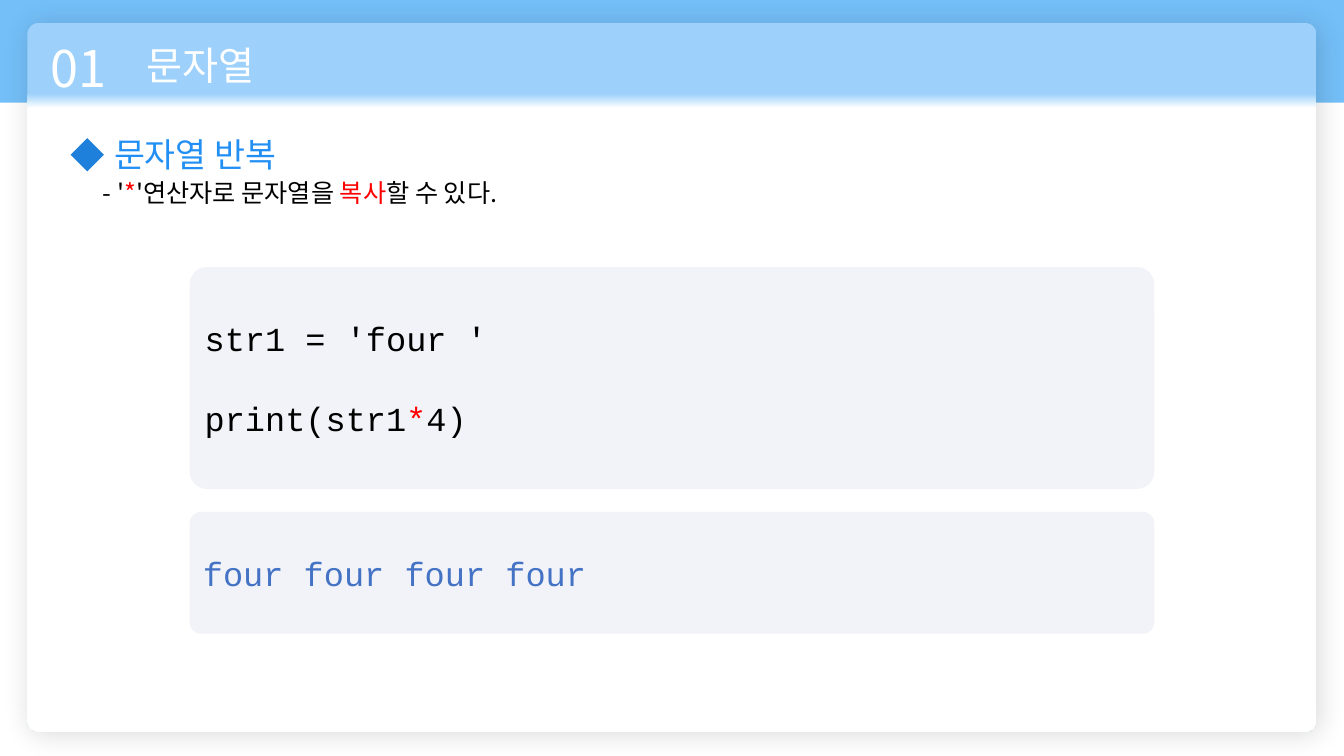
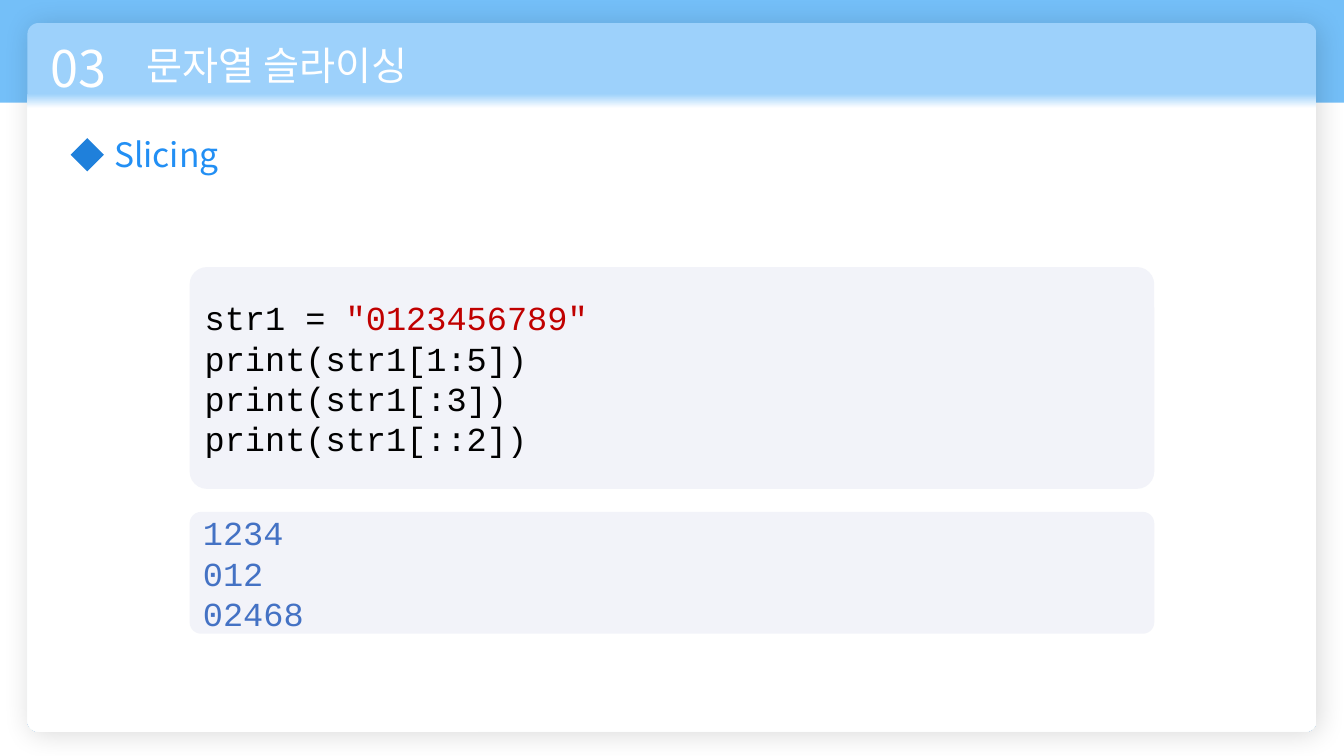
from lxml.etree import SubElement
from pptx import Presentation
from pptx.dml.color import RGBColor
from pptx.enum.shapes import MSO_SHAPE
from pptx.enum.text import MSO_ANCHOR, MSO_AUTO_SIZE, PP_ALIGN
from pptx.oxml.ns import qn
from pptx.util import Cm, Pt

KOREAN, MONO = "Noto Sans CJK KR", "Courier New"
WHITE, BLACK, RED, DARK_RED = "FFFFFF", "000000", "FF0000", "C00000"
BAND, HEADER, PANEL = "74BFF8", "9DD1FB", "F2F3F9"
HEADING, DIAMOND, RESULT = "228FF4", "1F80DB", "4472C4"

# Boxes are left, top, width, height in centimetres.
PAGE = (0, 0, 33.87, 19.05)
CARD = (0.69, 0.58, 32.49, 17.86)
NUMBER = (1.02, 0.81, 2.59, 1.8)
TITLE = (3.45, 0.91, 12.45, 1.45)
BODY = (2.34, 3.25, 20.5, 2.31)
LISTING = (4.78, 6.73, 24.31, 9.24)

CODE_HEIGHT, PANEL_GAP = 5.59, 0.58
CODE_PITCH = Pt(28.8)


def rgb(value):
    return RGBColor.from_string(value)


def lengths(box):
    return [Cm(value) for value in box]


def add_filled(page, kind, box, color=None, corner=None):
    shape = page.shapes.add_shape(kind, *lengths(box))
    shape.shadow.inherit = False
    shape.line.fill.background()
    if color:
        shape.fill.solid()
        shape.fill.fore_color.rgb = rgb(color)
    if corner is not None:
        shape.adjustments[0] = corner
    return shape


def add_spans(para, spans, font, size):
    for text, color in spans:
        span = para.add_run()
        span.text = text
        span.font.size = Pt(size)
        span.font.color.rgb = rgb(color)
        span.font.name = font
        SubElement(span.font._element, qn("a:ea"), typeface=font)


def prepare_frame(frame, anchor=MSO_ANCHOR.TOP):
    frame.word_wrap = True
    frame.auto_size = MSO_AUTO_SIZE.NONE
    frame.vertical_anchor = anchor
    return frame


def add_card(page, box):
    """Draw the rounded sheet with its tinted header and soft shadow."""
    card = add_filled(page, MSO_SHAPE.ROUNDED_RECTANGLE, box, corner=0.016)
    card.fill.gradient()
    card.fill.gradient_angle = 270
    for stop, (position, color) in zip(card.fill.gradient_stops,
                                       [(0.1, HEADER), (0.12, WHITE)]):
        stop.position = position
        stop.color.rgb = rgb(color)
    effects = card.element.spPr.find(qn("a:effectLst"))
    shadow = SubElement(effects, qn("a:outerShdw"), blurRad=str(Pt(20)), dist=str(Pt(3)),
                        dir=str(45 * 60000), algn="ctr", rotWithShape="0")
    tint = SubElement(shadow, qn("a:srgbClr"), val=BLACK)
    SubElement(tint, qn("a:alpha"), val="14000")
    return card


def design_layout(layout, page):
    """Place the layout's placeholders and move the shared shapes into it."""
    for placeholder, box in zip(layout.placeholders, (TITLE, BODY)):
        (placeholder.left, placeholder.top,
         placeholder.width, placeholder.height) = lengths(box)
    left, top = BODY[:2]
    shared = [
        add_filled(page, MSO_SHAPE.RECTANGLE, (0, 0, PAGE[2], 2.59), BAND),
        add_card(page, CARD),
        add_filled(page, MSO_SHAPE.DIAMOND, (left - 0.56, top + 0.23, 0.84, 0.84), DIAMOND),
    ]
    for number, shape in enumerate(shared, 101):
        shape.element.nvSpPr.cNvPr.set("id", str(number))
        layout.shapes.element.append(shape.element)


def fill_header(page, number, title):
    box = page.shapes.add_textbox(*lengths(NUMBER))
    add_spans(prepare_frame(box.text_frame).paragraphs[0], [(number, WHITE)], KOREAN, 36)
    para = prepare_frame(page.shapes.title.text_frame).paragraphs[0]
    para.alignment = PP_ALIGN.LEFT
    add_spans(para, [(title, WHITE)], KOREAN, 28)


def fill_body(page, heading, note):
    frame = prepare_frame(page.placeholders[1].text_frame)
    rows = [([(heading, HEADING)], 24, 0.28, 0)]
    if note:
        rows.append((note, 18, 0, 2))
    for index, (spans, size, margin, before) in enumerate(rows):
        para = frame.add_paragraph() if index else frame.paragraphs[0]
        properties = para._p.get_or_add_pPr()
        properties.set("marL", str(Cm(margin)))
        properties.set("indent", "0")
        SubElement(properties, qn("a:buNone"))
        para.space_before = Pt(before)
        add_spans(para, spans, KOREAN, size)


def add_panel(page, box, corner, lines, gap=0):
    panel = add_filled(page, MSO_SHAPE.ROUNDED_RECTANGLE, box, PANEL, corner)
    frame = prepare_frame(panel.text_frame, MSO_ANCHOR.MIDDLE)
    for index, spans in enumerate(lines):
        para = frame.add_paragraph() if index else frame.paragraphs[0]
        para.alignment = PP_ALIGN.LEFT
        para.line_spacing = CODE_PITCH
        para.space_before = gap if index else 0
        add_spans(para, spans, MONO, 24)


def add_listing(page, box, code, results, gap):
    """Stack a code panel and the panel with its printed results."""
    left, top, width, height = box
    offset = CODE_HEIGHT + PANEL_GAP
    add_panel(page, (left, top, width, CODE_HEIGHT), 0.078, code, gap)
    add_panel(page, (left, top + offset, width, height - offset), 0.094,
              [[(text, RESULT)] for text in results])


LESSONS = [
    dict(
        number="01", title="문자열", heading="문자열 반복",
        note=[("- '", BLACK), ("*", RED), ("'연산자로 문자열을 ", BLACK),
              ("복사", RED), ("할 수 있다.", BLACK)],
        code=[[("str1 = 'four '", BLACK)],
              [("print(str1", BLACK), ("*", RED), ("4)", BLACK)]],
        results=["four four four four"], gap=CODE_PITCH,
    ),
    dict(
        number="03", title="문자열 슬라이싱", heading="Slicing", note=None,
        code=[[("str1 = ", BLACK), ('"0123456789"', DARK_RED)],
              [("print(str1[1:5])", BLACK)],
              [("print(str1[:3])", BLACK)],
              [("print(str1[::2])", BLACK)]],
        results=["1234", "012", "02468"], gap=0,
    ),
]


def add_lesson(deck, layout, lesson):
    page = deck.slides.add_slide(layout)
    fill_header(page, lesson["number"], lesson["title"])
    fill_body(page, lesson["heading"], lesson["note"])
    add_listing(page, LISTING, lesson["code"], lesson["results"], lesson["gap"])
    return page


def main():
    deck = Presentation()
    deck.slide_width, deck.slide_height = lengths(PAGE[2:])
    layout = deck.slide_layouts[1]
    pages = [add_lesson(deck, layout, lesson) for lesson in LESSONS]
    design_layout(layout, pages[0])
    deck.save("out.pptx")


if __name__ == "__main__":
    main()
